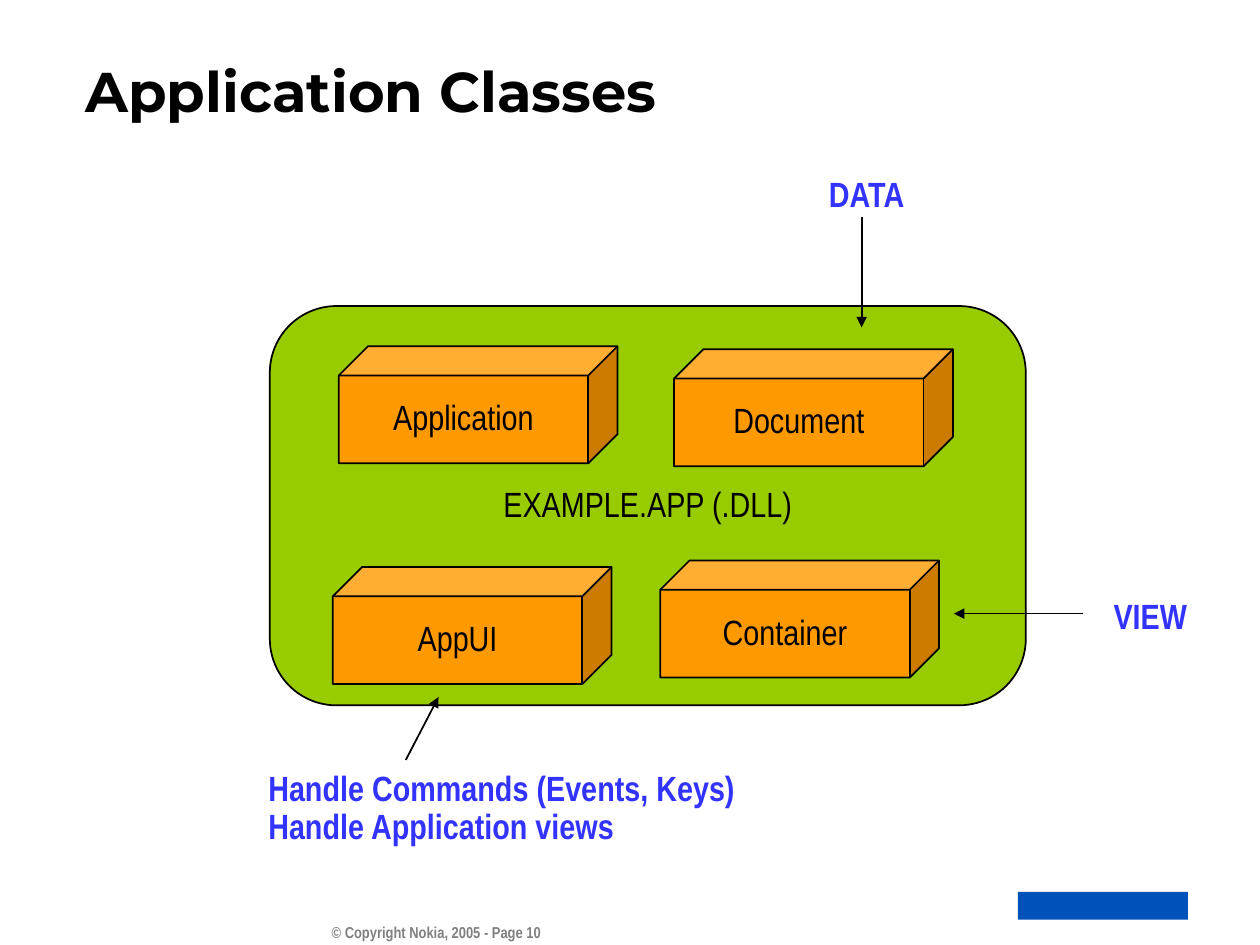
from lxml import etree
from pptx import Presentation
from pptx.dml.color import RGBColor
from pptx.enum.shapes import MSO_CONNECTOR, MSO_SHAPE
from pptx.enum.text import MSO_ANCHOR, PP_ALIGN
from pptx.oxml.ns import qn
from pptx.util import Cm, Pt

STRAIGHT = MSO_CONNECTOR.STRAIGHT
CUBE, RECT, ROUNDED = MSO_SHAPE.CUBE, MSO_SHAPE.RECTANGLE, MSO_SHAPE.ROUNDED_RECTANGLE
TOP, MIDDLE = MSO_ANCHOR.TOP, MSO_ANCHOR.MIDDLE
LEFT, CENTER, RIGHT = PP_ALIGN.LEFT, PP_ALIGN.CENTER, PP_ALIGN.RIGHT

COLORS = {
    "ink": "000000",
    "panel": "99CC00",
    "cube": "FF9900",
    "note": "3333FF",
    "footer": "808080",
    "mark": "0052BA",
}
BODY_FONT, TITLE_FONT = "Arial Narrow", "Montserrat"
CUBE_WIDTH, CUBE_HEIGHT = 5.62, 2.36


def color(name):
    return RGBColor.from_string(COLORS[name])


def write(shape, lines, ink="ink", size=20, font=BODY_FONT, bold=False,
          align=LEFT, anchor=TOP, wrap=False, spacing=0.9):
    frame = shape.text_frame
    frame.word_wrap = wrap
    frame.vertical_anchor = anchor
    frame.text = "\n".join(lines)
    for paragraph in frame.paragraphs:
        paragraph.alignment = align
        paragraph.line_spacing = spacing
        paragraph.font.name = font
        paragraph.font.size = Pt(size)
        paragraph.font.bold = bold
        paragraph.font.color.rgb = color(ink)


def add_text(slide, box, lines, **style):
    write(slide.shapes.add_textbox(*map(Cm, box)), lines, **style)


def add_note(slide, box, *lines):
    add_text(slide, box, lines, ink="note", bold=True)


def add_block(slide, preset, box, fill, adjustment=None, label=None):
    block = slide.shapes.add_shape(preset, *map(Cm, box))
    block.shadow.inherit = False
    block.fill.solid()
    block.fill.fore_color.rgb = color(fill)
    if adjustment is not None:
        block.adjustments[0] = adjustment
    if label:
        block.line.color.rgb = color("ink")
        block.line.width = Pt(1)
        write(block, [label], align=CENTER, anchor=MIDDLE)
    else:
        block.line.fill.background()


def add_arrow(slide, start, end):
    arrow = slide.shapes.add_connector(STRAIGHT, *map(Cm, start + end))
    arrow.line.color.rgb = color("ink")
    arrow.line.width = Pt(1)
    etree.SubElement(arrow.line._get_or_add_ln(), qn("a:tailEnd"), type="triangle")
    etree.SubElement(arrow._element.spPr, qn("a:effectLst"))


def main():
    deck = Presentation()
    deck.slide_width, deck.slide_height = Cm(25.4), Cm(19.05)
    slide = deck.slides.add_slide(deck.slide_layouts[6])

    # Footer and brand mark
    add_text(slide, (5.08, 18.47, 6.07, 0.84), ["© Copyright Nokia, 2005 - Page 10"],
             ink="footer", size=9, bold=True, align=RIGHT, wrap=True, spacing=1.0)
    add_block(slide, RECT, (20.52, 17.98, 3.43, 0.56), "mark")

    # Title
    add_text(slide, (1.47, 1.28, 23.8, 1.07), ["Application Classes"], size=32,
             font=TITLE_FONT, bold=True, anchor=MIDDLE, wrap=True, spacing=1.0)

    # Application package with its four classes
    add_block(slide, ROUNDED, (5.44, 6.17, 15.24, 8.05), "panel", 0.167,
              "EXAMPLE.APP (.DLL)")
    for name, left, top in (
        ("Application", 6.83, 6.98),
        ("Document", 13.59, 7.04),
        ("AppUI", 6.71, 11.43),
        ("Container", 13.31, 11.3),
    ):
        add_block(slide, CUBE, (left, top, CUBE_WIDTH, CUBE_HEIGHT), "cube", 0.25, name)

    # Roles of the classes
    add_note(slide, (5.16, 15.42, 9.91, 1.78),
             "Handle Commands (Events, Keys)", "Handle Application views")
    add_arrow(slide, (8.18, 15.32), (8.84, 14.05))
    add_note(slide, (16.46, 3.44, 2.11, 1.02), "DATA")
    add_arrow(slide, (17.37, 4.37), (17.37, 6.6))
    add_note(slide, (22.2, 11.95, 2.4, 1.02), "VIEW")
    add_arrow(slide, (21.84, 12.37), (19.23, 12.37))

    deck.save("out.pptx")


if __name__ == "__main__":
    main()
